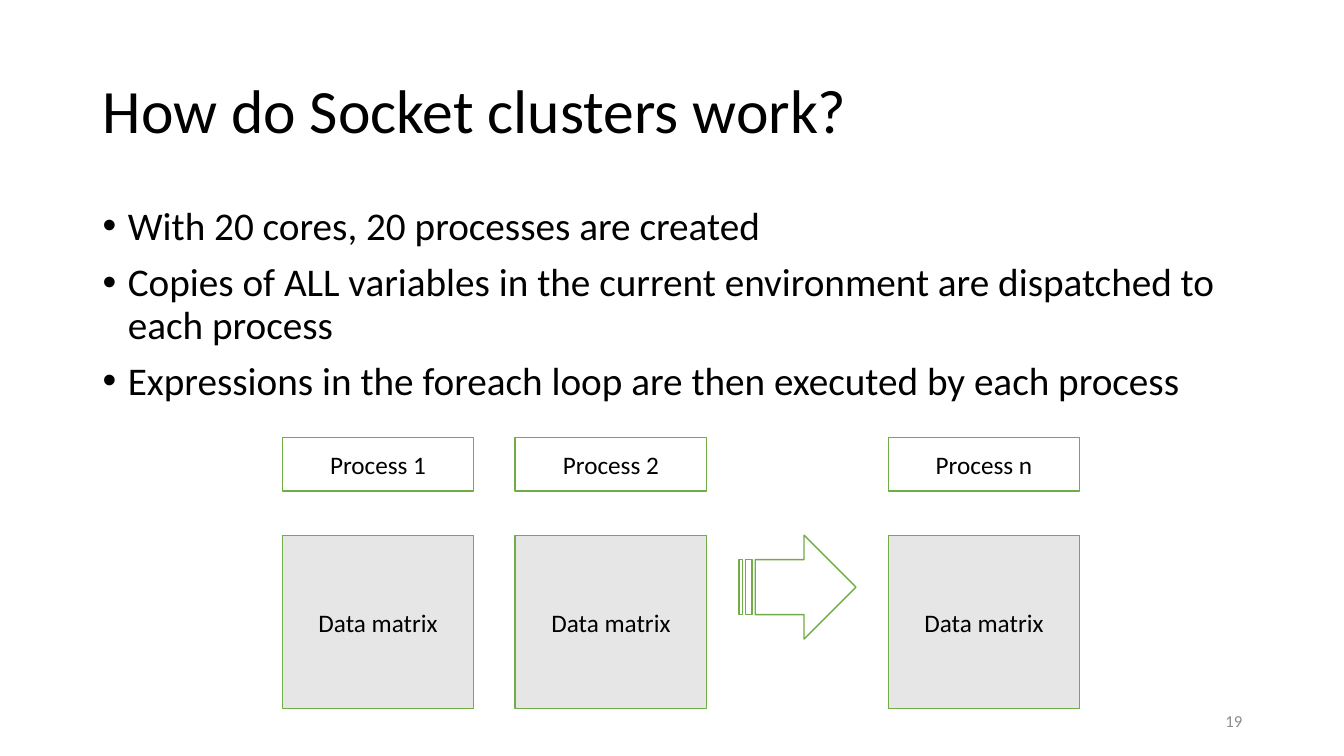
from lxml import etree
from pptx import Presentation
from pptx.dml.color import RGBColor
from pptx.enum.shapes import MSO_SHAPE
from pptx.enum.text import MSO_ANCHOR, PP_ALIGN
from pptx.oxml.ns import qn
from pptx.util import Inches, Pt

FONT = "Calibri"
COLORS = {
    "text": "000000",
    "number": "8C8C8C",
    "outline": "70AD47",
    "process": "FFFFFF",
    "data": "E7E6E6",
}
BULLETS = [
    "With 20 cores, 20 processes are created",
    "Copies of ALL variables in the current environment are dispatched to each process",
    "Expressions in the foreach loop are then executed by each process",
]
PROCESS_COLUMNS = [("Process 1", 2.8), ("Process 2", 5.11), ("Process n", 8.81)]
BOX_WIDTH = 1.9
PROCESS_TOP, PROCESS_HEIGHT = 4.34, 0.53
DATA_TOP, DATA_HEIGHT = 5.31, 1.72


def color(name):
    return RGBColor.from_string(COLORS[name])


def add_run(paragraph, text, size, color_name="text"):
    run = paragraph.add_run()
    run.text = text
    run.font.name = FONT
    run.font.size = Pt(size)
    run.font.color.rgb = color(color_name)


def add_text_frame(slide, left, top, width, height, anchor=MSO_ANCHOR.MIDDLE):
    box = slide.shapes.add_textbox(Inches(left), Inches(top), Inches(width), Inches(height))
    frame = box.text_frame
    frame.word_wrap = True
    frame.vertical_anchor = anchor
    return frame


def add_title(slide, text):
    paragraph = add_text_frame(slide, 0.92, 0.4, 11.5, 1.45).paragraphs[0]
    paragraph.line_spacing = 0.9
    add_run(paragraph, text, 44)


def set_bullet(paragraph):
    """Give the paragraph a round bullet with a hanging indent."""
    properties = paragraph._p.get_or_add_pPr()
    properties.set("marL", str(Inches(0.25)))
    properties.set("indent", str(-Inches(0.25)))
    etree.SubElement(properties, qn("a:buFont"), typeface="Arial")
    etree.SubElement(properties, qn("a:buChar"), char="•")


def add_bullets(slide, lines):
    frame = add_text_frame(slide, 0.92, 2, 11.5, 4.76, MSO_ANCHOR.TOP)
    for index, line in enumerate(lines):
        paragraph = frame.add_paragraph() if index else frame.paragraphs[0]
        paragraph.line_spacing = 0.9
        paragraph.space_before = Pt(10)
        set_bullet(paragraph)
        add_run(paragraph, line, 28)


def add_outlined_shape(slide, kind, left, top, width, height, fill):
    shape = slide.shapes.add_shape(
        kind, Inches(left), Inches(top), Inches(width), Inches(height))
    shape.shadow.inherit = False
    shape.fill.solid()
    shape.fill.fore_color.rgb = color(fill)
    shape.line.color.rgb = color("outline")
    shape.line.width = Pt(1)
    return shape


def add_labelled_box(slide, label, left, top, height, fill):
    shape = add_outlined_shape(
        slide, MSO_SHAPE.RECTANGLE, left, top, BOX_WIDTH, height, fill)
    shape.text_frame.vertical_anchor = MSO_ANCHOR.MIDDLE
    paragraph = shape.text_frame.paragraphs[0]
    paragraph.alignment = PP_ALIGN.CENTER
    add_run(paragraph, label, 18)


def add_striped_arrow(slide):
    arrow = add_outlined_shape(
        slide, MSO_SHAPE.STRIPED_RIGHT_ARROW, 7.33, DATA_TOP, 1.16, 1.03, "process")
    arrow.adjustments[0] = 0.53
    arrow.adjustments[1] = 0.5


def add_slide_number(slide, number):
    paragraph = add_text_frame(slide, 9.42, 6.95, 3, 0.4).paragraphs[0]
    paragraph.alignment = PP_ALIGN.RIGHT
    add_run(paragraph, number, 12, "number")


def main():
    presentation = Presentation()
    presentation.slide_width = Inches(13.33)
    presentation.slide_height = Inches(7.5)
    slide = presentation.slides.add_slide(presentation.slide_layouts[6])

    add_title(slide, "How do Socket clusters work?")
    add_bullets(slide, BULLETS)
    for process, left in PROCESS_COLUMNS:
        add_labelled_box(slide, process, left, PROCESS_TOP, PROCESS_HEIGHT, "process")
        add_labelled_box(slide, "Data matrix", left, DATA_TOP, DATA_HEIGHT, "data")
    add_striped_arrow(slide)
    add_slide_number(slide, "19")

    presentation.save("out.pptx")


if __name__ == "__main__":
    main()
